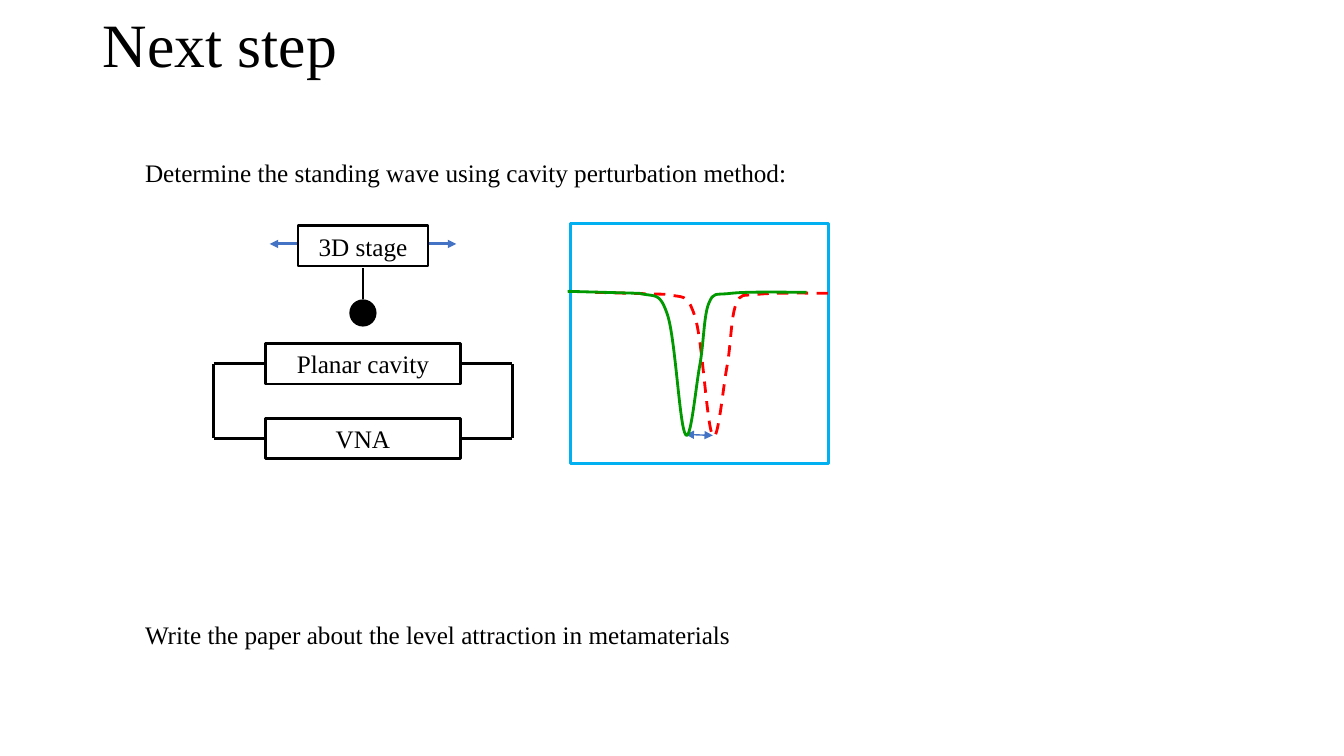
from collections import namedtuple

from lxml.etree import SubElement
from pptx import Presentation
from pptx.dml.color import RGBColor
from pptx.enum.dml import MSO_LINE
from pptx.enum.shapes import MSO_CONNECTOR, MSO_SHAPE
from pptx.enum.text import MSO_ANCHOR, MSO_AUTO_SIZE, PP_ALIGN
from pptx.oxml.ns import qn
from pptx.util import Pt

PX = 9144  # one px is a hundredth of an inch
FONT = "Times New Roman"
COLORS = {
    "black": "000000",
    "white": "FFFFFF",
    "arrow": "4472C4",
    "frame": "00B0F0",
    "shifted": "FF0000",
    "resonance": "009900",
}
Box = namedtuple("Box", "left top width height")

# Resonance dip, relative to the plot frame: start, straight run, cubic curves
DIP_START = (-3, 67)
DIP_SHOULDER = (68, 69)
DIP_CURVES = [
    ((85, 73), (88, 67), (96, 90)),
    ((104, 114), (108, 201), (114, 209)),
    ((119, 218), (124, 163), (128, 141)),
    ((132, 120), (132, 91), (137, 79)),
    ((142, 67), (143, 71), (159, 69)),
    ((176, 67), (218, 68), (234, 68)),
]
DIP_BOTTOM = DIP_CURVES[1][2]
DIP_SHIFT = (27, 1)


def color(name):
    return RGBColor.from_string(COLORS[name])


def emu(*lengths):
    return [round(length * PX) for length in lengths]


def write(shape, text, size=18, align=PP_ALIGN.LEFT, anchor=MSO_ANCHOR.TOP,
          spacing=None, fit=MSO_AUTO_SIZE.NONE):
    frame = shape.text_frame
    frame.word_wrap = True
    frame.auto_size = fit
    frame.vertical_anchor = anchor
    para = frame.paragraphs[0]
    para.alignment = align
    para.line_spacing = spacing
    span = para.add_run()
    span.text = text
    span.font.name = FONT
    span.font.size = Pt(size)
    span.font.color.rgb = color("black")


def style(shape, fill=None, line=None, dash=None):
    shape.shadow.inherit = False
    if fill:
        shape.fill.solid()
        shape.fill.fore_color.rgb = color(fill)
    else:
        shape.fill.background()
    if line:
        shape.line.color.rgb = color(line)
        shape.line.width = Pt(2)
        shape.line.dash_style = dash
    else:
        shape.line.fill.background()


def add_block(group, box, kind=MSO_SHAPE.RECTANGLE, text=None, fill=None, line=None):
    shape = group.shapes.add_shape(kind, *emu(*box))
    style(shape, fill, line)
    if text:
        write(shape, text, align=PP_ALIGN.CENTER, anchor=MSO_ANCHOR.MIDDLE)


def add_line(group, start, end, line="black", width=2, arrows=False):
    connector = group.shapes.add_connector(MSO_CONNECTOR.STRAIGHT, *emu(*start, *end))
    connector.line.color.rgb = color(line)
    connector.line.width = Pt(width)
    if arrows:
        outline = connector.line._get_or_add_ln()
        for tag in ("a:headEnd", "a:tailEnd"):
            SubElement(outline, qn(tag), type="triangle")
    SubElement(connector._element.spPr, qn("a:effectLst"))


def add_dip(group, left, top, line, dash=None):
    anchors = [DIP_START, DIP_SHOULDER] + [curve[-1] for curve in DIP_CURVES]
    points = [emu(left + x, top + y) for x, y in anchors]
    builder = group.shapes.build_freeform(*points[0])
    builder.add_line_segments(points[1:], close=False)
    shape = builder.convert_to_shape()
    style(shape, line=line, dash=dash)

    # Bend every segment after the shoulder into a cubic curve
    segments = list(shape._element.iter(qn("a:lnTo")))[1:]
    for segment, curve in zip(segments, DIP_CURVES):
        segment.getparent().remove(segment)
    outline = next(shape._element.iter(qn("a:moveTo"))).getparent()
    for curve in DIP_CURVES:
        bend = SubElement(outline, qn("a:cubicBezTo"))
        for point in curve:
            x, y = emu(left + point[0], top + point[1])
            SubElement(bend, qn("a:pt"), x=str(x - shape.left), y=str(y - shape.top))


def place_title(page, box, text):
    title = page.shapes.title
    title.left, title.top, title.width, title.height = emu(*box)
    write(title, text, size=44, anchor=MSO_ANCHOR.MIDDLE, spacing=0.9)


def place_statement(page, box, text):
    write(page.shapes.add_textbox(*emu(*box)), text, fit=MSO_AUTO_SIZE.SHAPE_TO_FIT_TEXT)


def place_setup(page, box):
    group = page.shapes.add_group_shape()
    left, top, right = box.left, box.top, box.left + box.width
    middle = left + box.width / 2
    block_height = 40

    # Moving stage with the probe ball hanging below it
    stage_width, travel, ball = 129, 185, 27
    ball_top = top + 73
    add_line(group, (middle - travel / 2, top + 18), (middle + travel / 2, top + 18),
             line="arrow", arrows=True)
    add_block(group, (middle - ball / 2, ball_top, ball, ball), MSO_SHAPE.OVAL, fill="black")
    add_line(group, (middle, ball_top), (middle, top + 42))
    add_block(group, (middle - stage_width / 2, top, stage_width, block_height),
              text="3D stage", fill="white", line="black")

    # Cavity and analyser, wired together on both sides
    width = 193
    block_tops = {"Planar cavity": top + 117, "VNA": top + box.height - block_height}
    for text, block_top in block_tops.items():
        add_block(group, (middle - width / 2, block_top, width, block_height),
                  text=text, line="black")
    wire_levels = [block_top + block_height / 2 for block_top in block_tops.values()]
    for outer, inner in ((left, middle - width / 2), (right, middle + width / 2)):
        for level in wire_levels:
            add_line(group, (outer, level), (inner, level))
        add_line(group, (outer, wire_levels[0]), (outer, wire_levels[1]))


def place_plot(page, box):
    group = page.shapes.add_group_shape()
    shift_x, shift_y = DIP_SHIFT
    add_block(group, box, line="frame")
    add_dip(group, box.left + shift_x, box.top + shift_y, "shifted", MSO_LINE.DASH)
    bottom_x, bottom_y = box.left + DIP_BOTTOM[0], box.top + DIP_BOTTOM[1]
    add_line(group, (bottom_x, bottom_y), (bottom_x + shift_x, bottom_y + shift_y),
             line="arrow", width=1, arrows=True)
    add_dip(group, box.left, box.top, "resonance")


def main():
    deck = Presentation()
    deck.slide_width, deck.slide_height = emu(1333, 750)
    page = deck.slides.add_slide(deck.slide_layouts[5])
    place_title(page, Box(92, 0, 1150, 95), "Next step")
    place_statement(page, Box(134, 151, 910, 40),
                    "Determine the standing wave using cavity perturbation method:")
    place_setup(page, Box(212, 224, 296, 231))
    place_plot(page, Box(566, 222, 256, 238))
    place_statement(page, Box(134, 609, 910, 40),
                    "Write the paper about the level attraction in metamaterials")
    deck.save("out.pptx")


if __name__ == "__main__":
    main()
